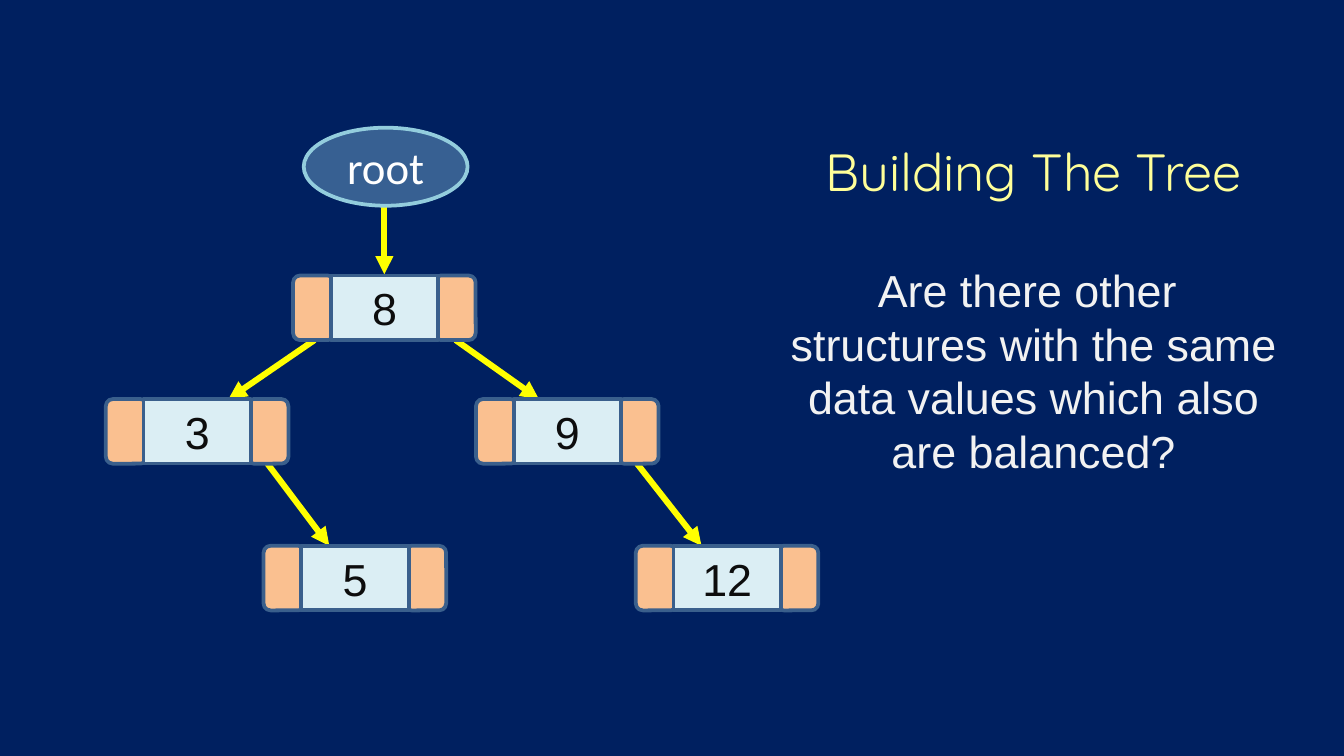
import pptx
import pptx.dml.color
import pptx.enum.shapes
import pptx.enum.text
import pptx.oxml.ns
import pptx.util
from lxml import etree

Pt = pptx.util.Pt
RGB = pptx.dml.color.RGBColor
SHAPE = pptx.enum.shapes.MSO_SHAPE
ALIGN = pptx.enum.text.PP_ALIGN
MIDDLE = pptx.enum.text.MSO_ANCHOR.MIDDLE
qn = pptx.oxml.ns.qn

NAVY = RGB(0x00, 0x20, 0x60)
PALE_YELLOW = RGB(0xFF, 0xFF, 0x99)
OFF_WHITE = RGB(0xF2, 0xF2, 0xF2)
WHITE = RGB(0xFF, 0xFF, 0xFF)
NEAR_BLACK = RGB(0x0D, 0x0D, 0x0D)
YELLOW = RGB(0xFF, 0xFF, 0x00)
PEACH = RGB(0xFA, 0xC0, 0x90)
ICE = RGB(0xDB, 0xEE, 0xF4)
STEEL = RGB(0x3A, 0x5F, 0x8C)
ROOT_BLUE = RGB(0x37, 0x60, 0x92)
ROOT_EDGE = RGB(0x93, 0xCD, 0xDD)

# Node geometry, in points
NODE_H, LINK_W, VALUE_W = 34.6, 22.3, 57.6
VALUE_DX, RIGHT_DX = 20.2, 75.5

# Value, left and top of each node
NODES = [("8", 157, 147.6), ("3", 56.7, 213.8), ("9", 255, 213.8),
         ("12", 340.6, 292.4), ("5", 141.2, 292.4)]

# Start and end of each arrow
ARROWS = [(168.5, 182.2, 122.4, 213.8), (244.1, 182.2, 288.7, 213.8),
          (341.3, 248.4, 375.8, 292.4), (143.3, 248.4, 176.4, 292.4),
          (205.9, 110.5, 205.9, 147)]


def add_run(p, text, size, font, color):
    r = p.add_run()
    r.text = text
    r.font.size, r.font.name = Pt(size), font
    r.font.color.rgb = color


def add_box(s, kind, x, y, w, h, fill, edge):
    sp = s.shapes.add_shape(kind, Pt(x), Pt(y), Pt(w), Pt(h))
    sp.shadow.inherit = False
    sp.fill.solid()
    sp.fill.fore_color.rgb = fill
    sp.line.color.rgb = edge
    sp.line.width = Pt(2)
    return sp


def add_label(sp, text, font, color):
    tf = sp.text_frame
    tf.word_wrap = False
    tf.vertical_anchor = MIDDLE
    p = tf.paragraphs[0]
    p.alignment = ALIGN.CENTER
    add_run(p, text, 24, font, color)


def add_arrow(s, x1, y1, x2, y2):
    line = s.shapes.add_connector(pptx.enum.shapes.MSO_CONNECTOR.STRAIGHT,
                                  Pt(x1), Pt(y1), Pt(x2), Pt(y2))
    line.line.color.rgb = YELLOW
    line.line.width = Pt(3.25)
    etree.SubElement(line.line._get_or_add_ln(), qn("a:tailEnd"), type="triangle")
    etree.SubElement(line._element.spPr, qn("a:effectLst"))


def add_node(s, value, x, y):
    for dx in (0, RIGHT_DX):
        add_box(s, SHAPE.ROUNDED_RECTANGLE, x + dx, y, LINK_W, NODE_H, PEACH, STEEL)
    sp = add_box(s, SHAPE.RECTANGLE, x + VALUE_DX, y, VALUE_W, NODE_H, ICE, STEEL)
    add_label(sp, value, "Arial", NEAR_BLACK)


def add_question(s):
    tf = s.shapes.add_textbox(Pt(414.7), Pt(108.7), Pt(277.9), Pt(113)).text_frame
    tf.word_wrap = True
    tf.vertical_anchor = MIDDLE
    p = tf.paragraphs[0]
    p.alignment = ALIGN.CENTER
    add_run(p, "Building The Tree", 28, "Quicksand", PALE_YELLOW)

    p = tf.add_paragraph()
    p.alignment = ALIGN.CENTER
    p.space_before = Pt(32.4)
    p.line_spacing = Pt(28.9)
    add_run(p, "Are there other ", 24, "Arial", OFF_WHITE)
    p.add_line_break()
    add_run(p, "structures with the same data values which also are balanced?",
            24, "Arial", OFF_WHITE)


def main():
    prs = pptx.Presentation()
    prs.slide_width, prs.slide_height = Pt(720), Pt(405)
    s = prs.slides.add_slide(prs.slide_layouts[6])
    s.background.fill.solid()
    s.background.fill.fore_color.rgb = NAVY

    # Title and question
    add_question(s)

    # Tree: arrows lie behind the nodes
    for ends in ARROWS:
        add_arrow(s, *ends)
    for node in NODES:
        add_node(s, *node)

    # Root pointer
    root = add_box(s, SHAPE.OVAL, 162.7, 68.4, 87.8, 41.8, ROOT_BLUE, ROOT_EDGE)
    add_label(root, "root", "Calibri", WHITE)

    prs.save("out.pptx")


if __name__ == "__main__":
    main()
